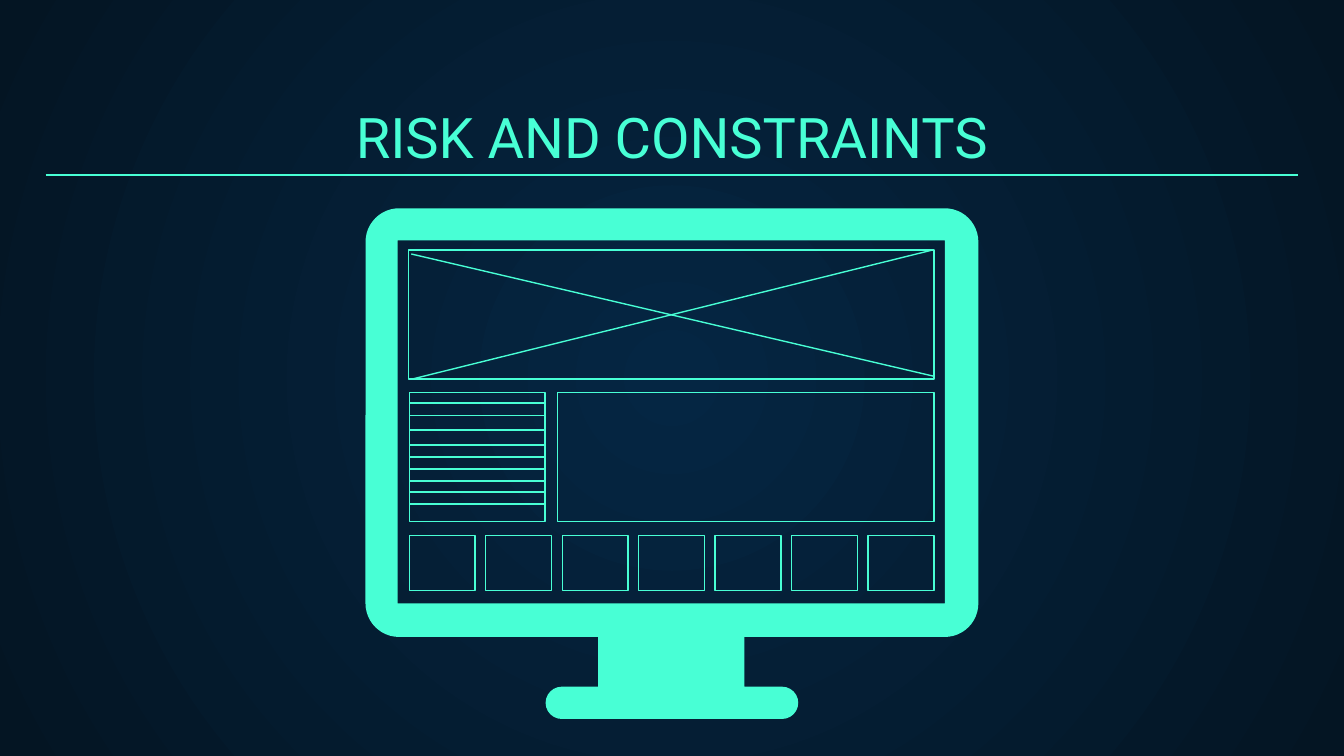
from lxml import etree
from pptx import Presentation
from pptx import util as u
from pptx.dml.color import RGBColor
from pptx.enum import shapes, text
from pptx.oxml import ns

# The slide is a grid of 100 columns by 56.25 rows of square cells
CELL = u.Inches(0.1)
COLUMNS, ROWS = 100, 56.25
MINT, NAVY, NIGHT = "48FFD5", "052643", "041523"


def grid(*values):
    return [round(value * CELL) for value in values]


def color(hex_value):
    return RGBColor.from_string(hex_value)


def style_line(line):
    line.color.rgb = color(MINT)
    line.width = u.Pt(0.75)


def add_background(page):
    fill = page.background.fill
    fill.gradient()
    for stop, hex_value, position in zip(fill.gradient_stops, (NAVY, NIGHT), (0, 1)):
        stop.color.rgb = color(hex_value)
        stop.position = position
    # Swap the linear direction for a circle around the centre
    linear = page.element.find(".//" + ns.qn("a:lin"))
    circle = etree.Element(ns.qn("a:path"), path="circle")
    sides = dict.fromkeys("ltrb", "50000")
    etree.SubElement(circle, ns.qn("a:fillToRect"), **sides)
    linear.getparent().replace(linear, circle)


def add_title(page, words, left, top, width, height):
    box = page.shapes.add_textbox(*grid(left, top, width, height))
    frame = box.text_frame
    frame.word_wrap = True
    frame.vertical_anchor = text.MSO_ANCHOR.BOTTOM
    frame.margin_left = frame.margin_right = u.Inches(0.1)
    frame.margin_top = frame.margin_bottom = u.Inches(0.1)
    para = frame.paragraphs[0]
    para.text = words
    para.alignment = text.PP_ALIGN.CENTER
    para.font.name = "Roboto"
    para.font.size = u.Pt(30)
    para.font.color.rgb = color(MINT)


def add_frame(page, left, top, width, height):
    frame = page.shapes.add_shape(
        shapes.MSO_SHAPE.RECTANGLE, *grid(left, top, width, height))
    frame.shadow.inherit = False
    frame.fill.background()
    style_line(frame.line)


def add_line(page, *ends):
    line = page.shapes.add_connector(shapes.MSO_CONNECTOR.STRAIGHT, *grid(*ends))
    style_line(line.line)
    etree.SubElement(line.element.spPr, ns.qn("a:effectLst"))


def round_segment(segment, radius, start, sweep):
    """Turn a straight segment into an arc; angles in degrees, clockwise."""
    size = str(round(radius * CELL))
    arc = etree.Element(ns.qn("a:arcTo"), wR=size, hR=size,
                        stAng=str(start * 60000), swAng=str(sweep * 60000))
    segment.getparent().replace(segment, arc)


def add_monitor(page):
    left, right, top, bottom, corner = 27.2, 72.8, 15.5, 47.4, 2.5
    base_top, base_bottom, end = 51.1, 53.5, 1.2
    # Each point, with the arc that leads to it if there is one
    outline = [
        (left, top + corner, None),
        (left + corner, top, (corner, 180, 90)),
        (right - corner, top, None),
        (right, top + corner, (corner, 270, 90)),
        (right, bottom - corner, None),
        (right - corner, bottom, (corner, 0, 90)),
        (55.4, bottom, None),
        (55.4, base_top, None),
        (58.2, base_top, None),
        (58.2, base_bottom, (end, 270, 180)),
        (41.8, base_bottom, None),
        (41.8, base_top, (end, 90, 180)),
        (44.5, base_top, None),
        (44.5, bottom, None),
        (left + corner, bottom, None),
        (left, bottom - corner, (corner, 90, 90)),
    ]
    screen = [(29.6, 17.9), (29.6, 44.9), (70.3, 44.9), (70.3, 17.9)]
    first, *others = [grid(column, row) for column, row, _ in outline]
    hole_first, *hole_others = [grid(*point) for point in screen]
    builder = page.shapes.build_freeform(*first)
    builder.add_line_segments(others, close=True)
    builder.move_to(*hole_first)
    builder.add_line_segments(hole_others, close=True)
    monitor = builder.convert_to_shape()
    segments = list(monitor.element.iter(ns.qn("a:lnTo")))
    for segment, (_, _, arc) in zip(segments, outline[1:]):
        if arc:
            round_segment(segment, *arc)
    monitor.shadow.inherit = False
    monitor.fill.solid()
    monitor.fill.fore_color.rgb = color(MINT)
    monitor.line.fill.background()


def add_wireframe(page):
    # Banner with its diagonals
    add_frame(page, 30.4, 18.6, 39.1, 9.6)
    add_line(page, 30.6, 18.9, 69.5, 28)
    add_line(page, 30.7, 28.2, 69.4, 18.6)
    # Side list and content panel
    add_frame(page, 30.45, 29.2, 10.1, 9.6)
    add_frame(page, 41.5, 29.2, 28, 9.6)
    for row in (30, 30.9, 32, 33.1, 34, 34.9, 35.8, 36.6, 37.5):
        add_line(page, 30.45, row, 40.5, row)
    # Row of tiles
    for tile in range(7):
        add_frame(page, 30.45 + 5.69 * tile, 39.84, 4.9, 4.1)


def main():
    deck = Presentation()
    deck.slide_width, deck.slide_height = grid(COLUMNS, ROWS)
    page = deck.slides.add_slide(deck.slide_layouts[6])
    add_background(page)
    add_title(page, "RISK AND CONSTRAINTS", 3.4, 7, 93.2, 6.65)
    add_monitor(page)
    add_wireframe(page)
    # Rule under the title
    add_line(page, 3.4, 13.03, 96.6, 13.03)
    deck.save("out.pptx")


if __name__ == "__main__":
    main()
